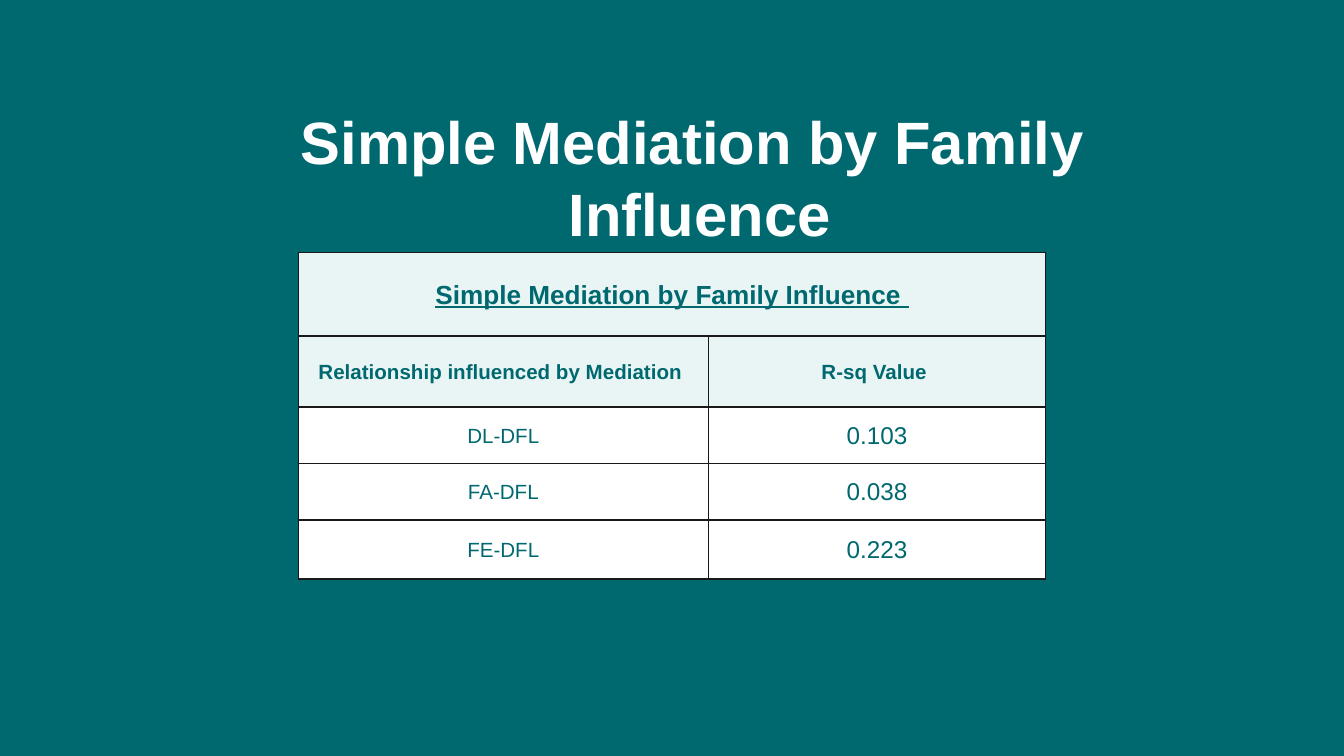
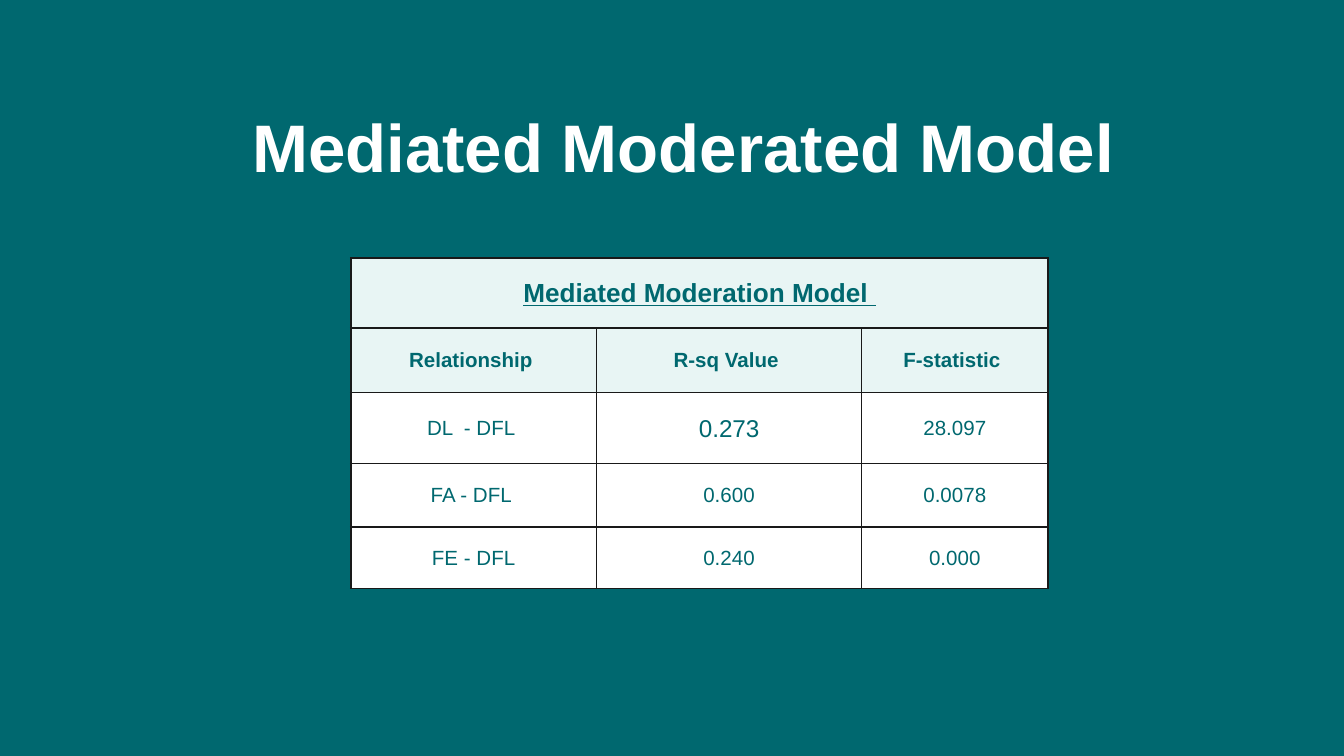
import pptx
import pptx.dml.color
import pptx.enum.text
import pptx.oxml
import pptx.oxml.ns
import pptx.util
from pptx.util import Inches

TEAL, MINT, WHITE, BORDER = "00686F", "E8F5F4", "FFFFFF", "191919"
FONT = "Arial"
BODY_SIZE, LARGE_SIZE = 11, 13

SLIDES = [
    {
        "title": "Simple Mediation by Family Influence  ",
        "title_size": 32,
        "position": (2.22, 1.88),
        "columns": [3.05, 2.51],
        "row_heights": [0.62, 0.53, 0.42, 0.42, 0.44],
        "rows": [
            ["Simple Mediation by Family Influence "],
            ["Relationship influenced by Mediation ", "R-sq Value "],
            ["DL-DFL", "0.103"],
            ["FA-DFL", "0.038"],
            ["FE-DFL", "0.223"],
        ],
        "large_values": {"0.103", "0.038", "0.223"},
    },
    {
        "title": "Mediated Moderated Model ",
        "title_size": 36,
        "position": (2.61, 1.92),
        "columns": [1.83, 1.97, 1.39],
        "row_heights": [0.52, 0.48, 0.53, 0.47, 0.46],
        "rows": [
            ["Mediated Moderation Model "],
            ["Relationship ", "R-sq Value ", "F-statistic "],
            ["DL  - DFL ", "0.273", "28.097"],
            ["FA - DFL ", "0.600", "0.0078"],
            ["FE - DFL", "0.240", "0.000"],
        ],
        "large_values": {"0.273"},
    },
]


def color(value):
    return pptx.dml.color.RGBColor.from_string(value)


def write_text(frame, text, size, fill=TEAL, bold=False, underline=False):
    """Fill the first paragraph of a frame with one centred run and return the paragraph."""
    paragraph = frame.paragraphs[0]
    paragraph.alignment = pptx.enum.text.PP_ALIGN.CENTER
    run = paragraph.add_run()
    run.text = text
    run.font.name = FONT
    run.font.size = pptx.util.Pt(size)
    run.font.bold = bold
    run.font.underline = underline
    run.font.color.rgb = color(fill)
    return paragraph


presentation = pptx.Presentation()
presentation.slide_width = Inches(10)
presentation.slide_height = Inches(10) * 9 // 16

for content in SLIDES:
    slide = presentation.slides.add_slide(presentation.slide_layouts[6])
    slide.background.fill.solid()
    slide.background.fill.fore_color.rgb = color(TEAL)

    # Table
    columns, heights = content["columns"], content["row_heights"]
    left, top = content["position"]
    table = slide.shapes.add_table(
        len(heights), len(columns), Inches(left), Inches(top),
        Inches(sum(columns)), Inches(sum(heights))).table
    table.first_row = False
    table.horz_banding = False
    for column, width in zip(table.columns, columns):
        column.width = Inches(width)
    for row, height in zip(table.rows, heights):
        row.height = Inches(height)
    table.cell(0, 0).merge(table.cell(0, len(columns) - 1))

    for row_index, row in enumerate(table.rows):
        for cell in row.cells:
            cell.margin_left = cell.margin_right = cell.margin_top = Inches(0.01)
            cell.margin_bottom = 0
            cell.vertical_anchor = pptx.enum.text.MSO_ANCHOR.MIDDLE
            cell.fill.solid()
            cell.fill.fore_color.rgb = color(MINT if row_index < 2 else WHITE)
            properties = cell._tc.get_or_add_tcPr()
            for position, side in enumerate(("lnL", "lnR", "lnT", "lnB")):
                properties.insert(position, pptx.oxml.parse_xml(
                    f'<a:{side} {pptx.oxml.ns.nsdecls("a")} w="12700"><a:solidFill>'
                    f'<a:srgbClr val="{BORDER}"/></a:solidFill></a:{side}>'))

        for cell, text in zip(row.cells, content["rows"][row_index]):
            if row_index == 0:
                size = 14
            else:
                size = LARGE_SIZE if text in content["large_values"] else BODY_SIZE
            write_text(cell.text_frame, text, size,
                       bold=row_index < 2, underline=row_index == 0)

    # Title
    title = slide.shapes.add_textbox(Inches(0.97), Inches(0.68), Inches(8.22), Inches(0.88))
    frame = title.text_frame
    frame.word_wrap = True
    frame.margin_left = frame.margin_right = Inches(0.1)
    frame.margin_top = frame.margin_bottom = Inches(0.1)
    paragraph = write_text(frame, content["title"], content["title_size"], fill=WHITE, bold=True)
    indents = paragraph._p.get_or_add_pPr()
    indents.set("marL", str(Inches(0.5)))
    indents.set("indent", str(Inches(-0.35)))

presentation.save("out.pptx")
